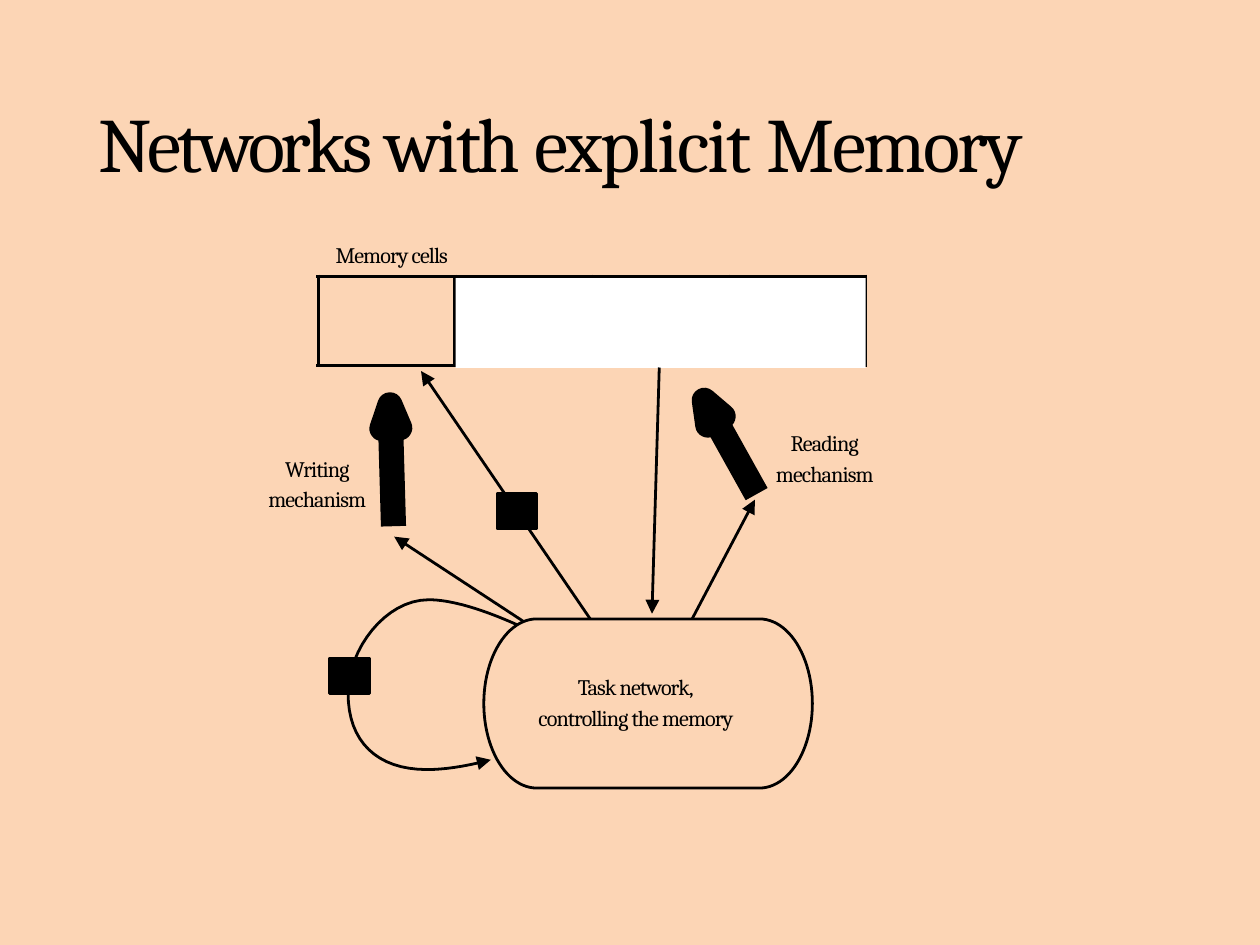
from typing import NamedTuple, Optional

from lxml.etree import SubElement
from pptx import Presentation
from pptx.dml.color import RGBColor
from pptx.enum.shapes import MSO_CONNECTOR as Connector, MSO_SHAPE as Preset
from pptx.enum.text import MSO_ANCHOR as Anchor, MSO_AUTO_SIZE as AutoSize, PP_ALIGN as Align
from pptx.oxml.ns import qn
from pptx.util import Cm, Pt

BLACK, WHITE, PEACH = "000000", "FFFFFF", "FCD5B5"
FONT = "Cambria"
THIN, THICK = 2.27, 20.4

Point = tuple[float, float]


class Box(NamedTuple):
    left: float
    top: float
    width: float
    height: float


class Label(NamedTuple):
    text: str
    box: Box


class Arrow(NamedTuple):
    start: Point
    end: Point


class BlockArrow(NamedTuple):
    shaft: Arrow
    head: list[Point]


# Content, in centimetres
TITLE_WORDS = [("Networks ", -3.4), ("with ", -2.5), ("explicit ", -1.6), ("Memory", -2.2)]
LABELS = [
    Label("Memory cells", Box(9.35, 6.8, 3.76, 0.84)),
    Label("Writing\nmechanism", Box(7.52, 12.93, 3.15, 1.83)),
    Label("Reading\nmechanism", Box(22.07, 12.19, 3.15, 1.83)),
]
SIGNALS = [
    Arrow((14.99, 17.81), (11.3, 15.39)),
    Arrow((16.92, 17.75), (12.07, 10.64)),
    Arrow((18.9, 10.54), (18.69, 17.6)),
    Arrow((19.84, 17.75), (21.64, 14.33)),
]
MECHANISMS = [
    BlockArrow(Arrow((11.28, 15.09), (11.2, 12.29)),
               [(11.18, 11.61), (10.95, 12.29), (11.46, 12.27)]),
    BlockArrow(Arrow((21.69, 14.17), (20.52, 12.07)),
               [(20.19, 11.48), (20.29, 12.19), (20.73, 11.94)]),
]
# Cubic curves: each takes two controls and an end point after the last one
FEEDBACK = [
    (14.81, 17.91), (13.84, 17.48), (12.95, 17.2), (12.29, 17.2),
    (11.05, 17.2), (9.98, 18.62), (9.98, 19.89),
    (9.98, 21.26), (10.8, 22.07), (12.24, 22.07),
    (12.83, 22.07), (13.46, 21.95), (14.07, 21.79),
]
DELAYS = [Box(9.45, 18.87, 1.14, 1.02), Box(14.25, 14.15, 1.14, 1.02)]


def cm(*lengths: float) -> list[Cm]:
    return [Cm(length) for length in lengths]


def paint(fill, colour: Optional[str]) -> None:
    if colour is None:
        fill.background()
    else:
        fill.solid()
        fill.fore_color.rgb = RGBColor.from_string(colour)


def stroke(shape, width: float, arrowhead: bool = False) -> None:
    paint(shape.line.fill, BLACK)
    shape.line.width = Pt(width)
    ln = shape.line._get_or_add_ln()
    SubElement(ln, qn("a:round"))
    if arrowhead:
        SubElement(ln, qn("a:tailEnd"), type="triangle", w="lg", len="lg")


def format_run(run, size: float, spacing: float) -> None:
    run.font.name = FONT
    run.font.size = Pt(size)
    paint(run.font.fill, BLACK)
    run._r.get_or_add_rPr().set("spc", str(round(spacing * 100)))


def write(frame, text: str) -> None:
    frame.word_wrap = True
    frame.margin_left = frame.margin_top = frame.margin_right = frame.margin_bottom = 0
    frame.text = text
    for paragraph in frame.paragraphs:
        paragraph.alignment = Align.CENTER
        paragraph.line_spacing = 1.16
        for run in paragraph.runs:
            format_run(run, 18, -0.75)


def add_block(shapes, preset: Preset, box: Box, fill: Optional[str], outlined: bool = True):
    block = shapes.add_shape(preset, *cm(*box))
    block.shadow.inherit = False
    paint(block.fill, fill)
    if outlined:
        stroke(block, THIN)
    else:
        block.line.fill.background()
    return block


def add_line(shapes, arrow: Arrow, width: float, arrowhead: bool) -> None:
    line = shapes.add_connector(Connector.STRAIGHT, *cm(*arrow.start, *arrow.end))
    stroke(line, width, arrowhead)
    SubElement(line._element.spPr, qn("a:effectLst"))


def add_outline(shapes, points: list[Point], closed: bool):
    builder = shapes.build_freeform(*cm(*points[0]))
    builder.add_line_segments([tuple(cm(*point)) for point in points[1:]], close=closed)
    outline = builder.convert_to_shape()
    outline.shadow.inherit = False
    paint(outline.fill, BLACK if closed else None)
    return outline


def trace(curve: list[Point], steps: int = 16) -> list[Point]:
    points = [curve[0]]
    for first in range(0, len(curve) - 1, 3):
        for step in range(1, steps + 1):
            t = step / steps
            weights = ((1 - t) ** 3, 3 * t * (1 - t) ** 2, 3 * t * t * (1 - t), t ** 3)
            part = list(zip(weights, curve[first:first + 4]))
            points.append((sum(w * p[0] for w, p in part), sum(w * p[1] for w, p in part)))
    return points


def add_title(title) -> None:
    title.left, title.top, title.width, title.height = cm(2.82, 2.74, 30.45, 2.72)
    frame = title.text_frame
    frame.auto_size = AutoSize.NONE
    frame.vertical_anchor = Anchor.TOP
    frame.margin_left = frame.margin_top = frame.margin_right = frame.margin_bottom = 0
    heading = frame.paragraphs[0]
    heading.alignment = Align.LEFT
    for word, spacing in TITLE_WORDS:
        run = heading.add_run()
        run.text = word
        format_run(run, 62.5, spacing)


def add_memory(shapes) -> None:
    memory = shapes.add_table(1, 4, *cm(9.12, 7.92, 15.68, 2.57)).table
    memory.first_row = memory.horz_banding = False
    for cell in memory.iter_cells():
        properties = cell._tc.get_or_add_tcPr()
        for side in ("a:lnL", "a:lnR", "a:lnT", "a:lnB"):
            border = SubElement(properties, qn(side), w=str(Pt(3)))
            SubElement(SubElement(border, qn("a:solidFill")), qn("a:srgbClr"), val=BLACK)
        paint(cell.fill, None)
    add_block(shapes, Preset.RECTANGLE, Box(13.06, 7.98, 11.76, 2.57), WHITE, outlined=False)


def main() -> None:
    deck = Presentation()
    deck.slide_width, deck.slide_height = cm(36.12, 27.1)
    slide = deck.slides.add_slide(deck.slide_layouts[5])
    paint(slide.background.fill, PEACH)
    shapes = slide.shapes
    add_title(shapes.title)

    # Memory cells and labels
    add_memory(shapes)
    for label in LABELS:
        write(shapes.add_textbox(*cm(*label.box)).text_frame, label.text)

    # Task network
    task = add_block(shapes, Preset.FLOWCHART_TERMINATOR, Box(13.87, 17.75, 9.42, 4.85), None)
    write(task.text_frame, "Task network,\ncontrolling the memory")
    task.text_frame.vertical_anchor = Anchor.MIDDLE
    task.text_frame.margin_right = Cm(0.7)
    task.text_frame.margin_bottom = Cm(0.2)

    # Writing and reading mechanisms
    for mechanism in MECHANISMS:
        add_line(shapes, mechanism.shaft, THICK, arrowhead=False)
        stroke(add_outline(shapes, mechanism.head, closed=True), THICK)

    # Signals, feedback loop and delays
    for signal in SIGNALS:
        add_line(shapes, signal, THIN, arrowhead=True)
    stroke(add_outline(shapes, trace(FEEDBACK), closed=False), THIN, arrowhead=True)
    for delay in DELAYS:
        add_block(shapes, Preset.RECTANGLE, delay, BLACK)

    deck.save("out.pptx")


if __name__ == "__main__":
    main()
